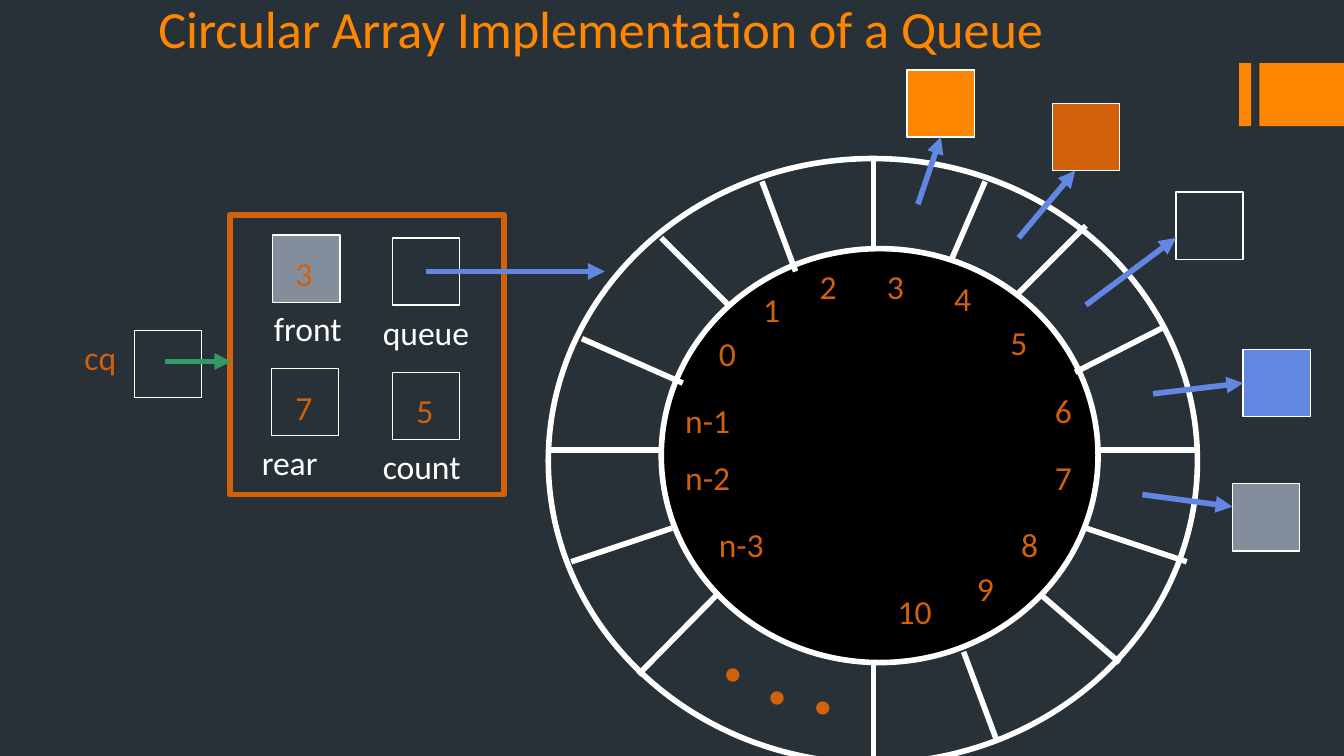
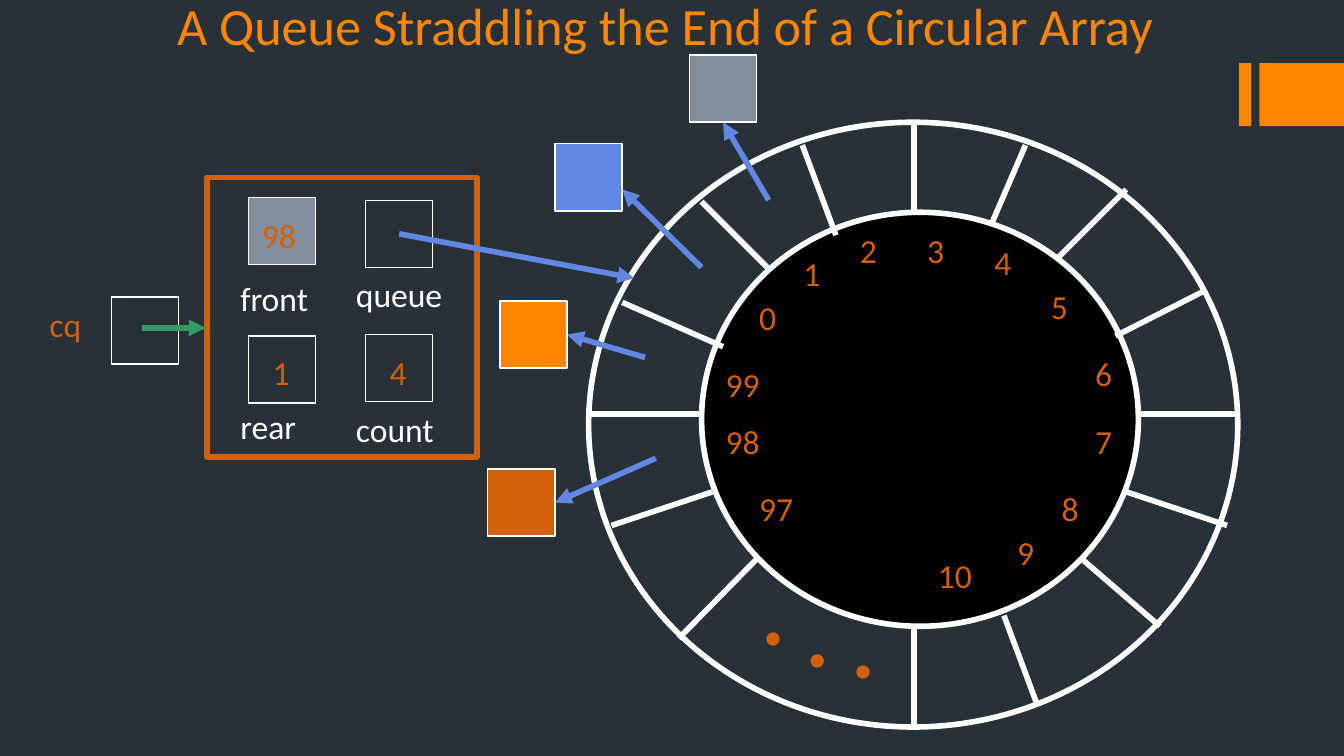
from typing import NamedTuple

from lxml import etree
from pptx import Presentation
from pptx.dml.color import RGBColor
from pptx.enum.shapes import MSO_CONNECTOR, MSO_SHAPE
from pptx.enum.text import MSO_ANCHOR, MSO_AUTO_SIZE
from pptx.oxml.ns import qn
from pptx.util import Emu, Pt

SLATE = RGBColor(0x28, 0x31, 0x38)
ORANGE = RGBColor(0xFF, 0x86, 0x00)
RUST = RGBColor(0xD2, 0x61, 0x0C)
BLUE = RGBColor(0x61, 0x87, 0xE3)
GRAY = RGBColor(0x83, 0x8D, 0x9B)
GREEN = RGBColor(0x33, 0x99, 0x66)
WHITE = RGBColor(0xFF, 0xFF, 0xFF)
BLACK = RGBColor(0x00, 0x00, 0x00)

EMU_PER_PX = 9144
CELL = 50
HALF = CELL // 2
THIN, THICK = 0.75, 3

# Ring parts, relative to the top left of the ring
RING_SIZE = (483, 450)
HUB = (84, 67, 325, 308)
SPOKES = [
    (84, 217, 0, 217), (409, 217, 484, 217), (242, 0, 242, 67),
    (242, 375, 242, 450), (84, 59, 134, 109), (367, 325, 425, 375),
    (125, 325, 67, 384), (400, 50, 350, 100), (159, 17, 184, 84),
    (309, 367, 334, 434), (25, 134, 100, 167), (400, 275, 475, 300),
    (325, 17, 300, 75), (459, 125, 392, 159), (17, 300, 92, 275),
]
INDEX_SPOTS = [
    (117, 125), (150, 92), (192, 75), (242, 75), (292, 84), (334, 117),
    (367, 167), (367, 217), (342, 267), (309, 300), (250, 317),
]
LAST_INDEX_SPOTS = [(92, 175), (92, 217), (117, 267)]
DOT_SPOTS = [(117, 300), (150, 317), (184, 325)]


class Field(NamedTuple):
    """A cell of the queue record; spots are relative to the record."""
    name: str
    cell: tuple
    name_spot: tuple
    value: str = ""
    value_spot: tuple = (0, 0)
    fill: RGBColor = None


class Item(NamedTuple):
    """A queued object and its arrow, relative to the ring."""
    fill: RGBColor
    cell: tuple
    arrow: tuple


def px(length):
    return Emu(length * EMU_PER_PX)


def add_box(slide, x, y, w, h, fill=None, line=None, weight=THIN,
            preset=MSO_SHAPE.RECTANGLE):
    box = slide.shapes.add_shape(preset, px(x), px(y), px(w), px(h))
    box.shadow.inherit = False
    if fill is None:
        box.fill.background()
    else:
        box.fill.solid()
        box.fill.fore_color.rgb = fill
    if line is None:
        box.line.fill.background()
    else:
        box.line.color.rgb = line
        box.line.width = Pt(weight)


def add_cell(slide, x, y, fill=None):
    add_box(slide, x, y, CELL, CELL, fill, WHITE)


def add_line(slide, x1, y1, x2, y2, color, arrow=True):
    line = slide.shapes.add_connector(
        MSO_CONNECTOR.STRAIGHT, px(x1), px(y1), px(x2), px(y2))
    line.line.color.rgb = color
    line.line.width = Pt(THICK)
    if arrow:
        etree.SubElement(line.line._get_or_add_ln(), qn("a:tailEnd"), type="triangle")
    etree.SubElement(line._element.spPr, qn("a:effectLst"))


def add_text(slide, text, x, y, w=39, h=43, color=RUST, size=18, font="Calibri"):
    box = slide.shapes.add_textbox(px(x), px(y), px(w), px(h))
    frame = box.text_frame
    frame.word_wrap = True
    frame.auto_size = MSO_AUTO_SIZE.SHAPE_TO_FIT_TEXT
    paragraph = frame.paragraphs[0]
    paragraph.text = text
    paragraph.font.name = font
    paragraph.font.size = Pt(size)
    paragraph.font.color.rgb = color
    return frame


def digits_width(text):
    return 39 if len(text) == 1 else 58


def add_base(prs, title, title_box):
    """Add a slide with the shared background, bands and title."""
    slide = prs.slides.add_slide(prs.slide_layouts[6])
    slide.background.fill.solid()
    slide.background.fill.fore_color.rgb = SLATE
    for x, width in [(922, 9), (937, 63)]:
        add_box(slide, x, 47, width, 47, ORANGE)
    frame = add_text(slide, title, *title_box, color=ORANGE, size=28)
    frame.auto_size = MSO_AUTO_SIZE.NONE
    frame.vertical_anchor = MSO_ANCHOR.BOTTOM
    frame.margin_bottom = px(3)
    return slide


def draw_ring(slide, left, top, last_indexes):
    add_box(slide, left, top, *RING_SIZE, SLATE, WHITE, THICK, MSO_SHAPE.OVAL)
    hub_x, hub_y, hub_w, hub_h = HUB
    add_box(slide, left + hub_x, top + hub_y, hub_w, hub_h,
            BLACK, WHITE, THICK, MSO_SHAPE.OVAL)
    for x1, y1, x2, y2 in SPOKES:
        add_line(slide, left + x1, top + y1, left + x2, top + y2, WHITE, arrow=False)
    for index, (x, y) in enumerate(INDEX_SPOTS):
        add_text(slide, str(index), left + x, top + y, digits_width(str(index)))
    for index, (x, y) in zip(last_indexes, LAST_INDEX_SPOTS):
        add_text(slide, index, left + x, top + y, 75)
    for x, y in DOT_SPOTS:
        add_text(slide, ".", left + x, top + y, 33, 110, size=60, font="Times New Roman")


def draw_record(slide, left, top, width, fields):
    add_box(slide, left, top, width, 208, line=RUST, weight=THICK)
    for field in fields:
        cell_x, cell_y = field.cell
        add_cell(slide, left + cell_x, top + cell_y, field.fill)
        name_x, name_y = field.name_spot
        add_text(slide, field.name, left + name_x, top + name_y, 100, color=WHITE)
        if field.value:
            value_x, value_y = field.value_spot
            add_text(slide, field.value, left + value_x, top + value_y,
                     digits_width(field.value))


def draw_reference(slide, left, top, name_x, arrow_end):
    """Draw the cq variable pointing at the record."""
    add_text(slide, "cq", name_x, top, 74)
    add_cell(slide, left, top)
    add_line(slide, left + 23, top + 23, arrow_end, top + 23, GREEN)


def draw_items(slide, left, top, items):
    for item in items:
        x, y = item.cell
        add_cell(slide, left + x, top + y, item.fill)
        x1, y1, x2, y2 = item.arrow
        add_line(slide, left + x1, top + y1, left + x2, top + y2, BLUE)


def add_queue_slide(prs, title, title_box, ring, last_indexes, record, fields,
                    queue_target, reference, items):
    slide = add_base(prs, title, title_box)
    draw_ring(slide, *ring, last_indexes)
    draw_record(slide, *record, fields)
    queue_x, queue_y = next(f.cell for f in fields if f.name == "queue")
    add_line(slide, record[0] + queue_x + HALF, record[1] + queue_y + HALF,
             *queue_target, BLUE)
    draw_items(slide, *ring, items)
    draw_reference(slide, *reference)


def main():
    prs = Presentation()
    prs.slide_width = px(1000)
    prs.slide_height = prs.slide_width * 9 // 16

    add_queue_slide(
        prs, "Circular Array Implementation of a Queue", (108, 0, 800, 47),
        ring=(408, 118),
        last_indexes=["n-1", "n-2", "n-3"],
        record=(171, 160, 204),
        fields=[
            Field("front", (32, 15), (23, 64), "3", (39, 23), GRAY),
            Field("rear", (31, 114), (14, 164), "7", (39, 123)),
            Field("queue", (121, 17), (104, 67)),
            Field("count", (121, 117), (104, 167), "5", (129, 125)),
        ],
        queue_target=(450, 202),
        reference=(100, 246, 53, 172),
        items=[
            Item(ORANGE, (267, -66), (275, 34, 292, -16)),
            Item(RUST, (375, -41), (350, 59, 392, 9)),
            Item(SLATE, (467, 25), (400, 109, 467, 59)),
            Item(BLUE, (517, 142), (450, 175, 517, 167)),
            Item(GRAY, (509, 242), (442, 250, 509, 259)),
        ])

    add_queue_slide(
        prs, "A Queue Straddling the End of a Circular Array", (122, -18, 800, 63),
        ring=(438, 91),
        last_indexes=["99", "98", "97"],
        record=(154, 132, 201),
        fields=[
            Field("front", (31, 15), (15, 70), "98", (31, 23), GRAY),
            Field("rear", (31, 118), (15, 165), "1", (39, 125)),
            Field("queue", (118, 17), (101, 67)),
            Field("count", (118, 117), (101, 167), "4", (126, 125)),
        ],
        queue_target=(472, 207),
        reference=(83, 221, 27, 153),
        items=[
            Item(ORANGE, (-66, 133), (42, 175, -16, 158)),
            Item(RUST, (-75, 258), (50, 250, -25, 283)),
            Item(GRAY, (75, -50), (134, 58, 100, 0)),
            Item(BLUE, (-25, 16), (84, 108, 25, 50)),
        ])

    prs.save("out.pptx")


if __name__ == "__main__":
    main()
